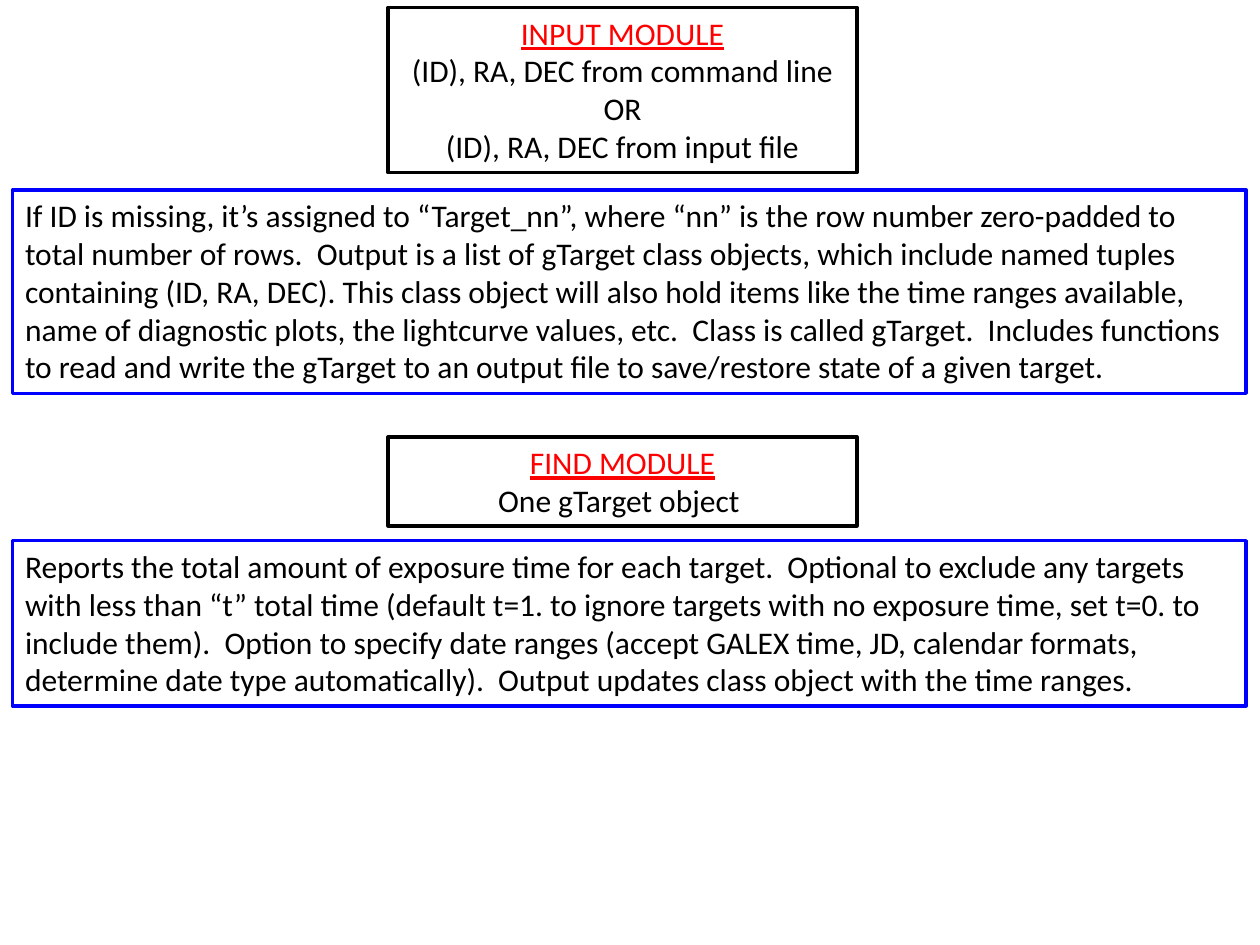
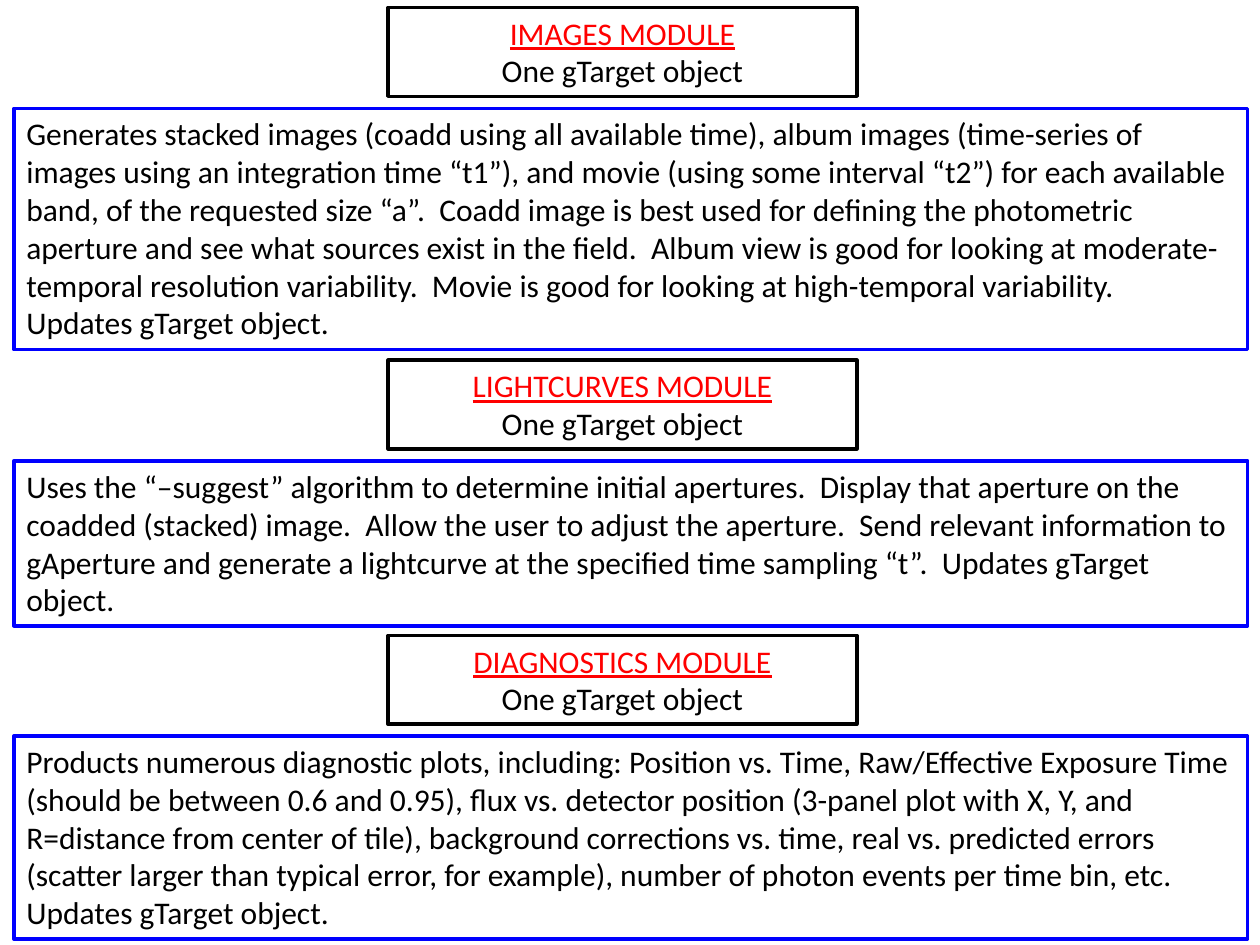
"""Build two slides that describe the processing modules of a target pipeline."""
from pptx import Presentation
from pptx.dml.color import RGBColor
from pptx.enum.text import MSO_ANCHOR, MSO_AUTO_SIZE, PP_ALIGN
from pptx.util import Pt

BLACK = RGBColor(0, 0, 0)
RED = RGBColor(255, 0, 0)
BLUE = RGBColor(0, 0, 255)
FONT = "Calibri"
FONT_SIZE = 18
LINE_HEIGHT = 21.8
INSET_X, INSET_Y = 7.2, 3.6
HEADER_LEFT, HEADER_WIDTH = 221.8, 267.8
DETAIL_WIDTH = 704.9

SLIDES = [
    {
        "detail_left": 7.2,
        "modules": [
            {
                "title": "INPUT MODULE",
                "inputs": ["(ID), RA, DEC from command line", "OR",
                           "(ID), RA, DEC from input file"],
                "header_top": 4.3,
                "detail": "If ID is missing, it’s assigned to “Target_nn”, where “nn” is the row "
                          "number zero-padded to total number of rows.  Output is a list of gTarget "
                          "class objects, which include named tuples containing (ID, RA, DEC). This "
                          "class object will also hold items like the time ranges available, name of "
                          "diagnostic plots, the lightcurve values, etc.  Class is called gTarget.  "
                          "Includes functions to read and write the gTarget to an output file to "
                          "save/restore state of a given target.",
                "detail_top": 108.6,
                "detail_lines": 5,
            },
            {
                "title": "FIND MODULE",
                "inputs": ["One gTarget object "],
                "header_top": 249.7,
                "detail": "Reports the total amount of exposure time for each target.  Optional to "
                          "exclude any targets with less than “t” total time (default t=1. to ignore "
                          "targets with no exposure time, set t=0. to include them).  Option to "
                          "specify date ranges (accept GALEX time, JD, calendar formats, determine "
                          "date type automatically).  Output updates class object with the time "
                          "ranges.",
                "detail_top": 309,
                "detail_lines": 4,
            },
        ],
    },
    {
        "detail_left": 8,
        "modules": [
            {
                "title": "IMAGES MODULE",
                "inputs": ["One gTarget object"],
                "header_top": 4.3,
                "detail": "Generates stacked images (coadd using all available time), album images "
                          "(time-series of images using an integration time “t1”), and movie (using "
                          "some interval “t2”) for each available band, of the requested size “a”.  "
                          "Coadd image is best used for defining the photometric aperture and see "
                          "what sources exist in the field.  Album view is good for looking at "
                          "moderate-temporal resolution variability.  Movie is good for looking at "
                          "high-temporal variability.  Updates gTarget object.",
                "detail_top": 61.9,
                "detail_lines": 6,
            },
            {
                "title": "LIGHTCURVES MODULE",
                "inputs": ["One gTarget object"],
                "header_top": 205.8,
                "detail": "Uses the “–suggest” algorithm to determine initial apertures.  Display "
                          "that aperture on the coadded (stacked) image.  Allow the user to adjust "
                          "the aperture.  Send relevant information to gAperture and generate a "
                          "lightcurve at the specified time sampling “t”.  Updates gTarget object.",
                "detail_top": 263.3,
                "detail_lines": 4,
            },
            {
                "title": "DIAGNOSTICS MODULE",
                "inputs": ["One gTarget object"],
                "header_top": 363.1,
                "detail": "Products numerous diagnostic plots, including: Position vs. Time, "
                          "Raw/Effective Exposure Time (should be between 0.6 and 0.95), flux vs. "
                          "detector position (3-panel plot with X, Y, and R=distance from center of "
                          "tile), background corrections vs. time, real vs. predicted errors "
                          "(scatter larger than typical error, for example), number of photon events "
                          "per time bin, etc.  Updates gTarget object.",
                "detail_top": 420.5,
                "detail_lines": 5,
            },
        ],
    },
]


def write_text(paragraph, text, *, color=BLACK, underline=None, align=PP_ALIGN.LEFT):
    paragraph.alignment = align
    run = paragraph.add_run()
    run.text = text
    run.font.name = FONT
    run.font.size = Pt(FONT_SIZE)
    run.font.color.rgb = color
    run.font.underline = underline


def add_frame(slide, left, top, width, line_count, border):
    height = line_count * LINE_HEIGHT + 2 * INSET_Y
    frame = slide.shapes.add_textbox(Pt(left), Pt(top), Pt(width), Pt(height))
    frame.line.color.rgb = border
    frame.line.width = Pt(2)
    body = frame.text_frame
    body.word_wrap = True
    body.auto_size = MSO_AUTO_SIZE.SHAPE_TO_FIT_TEXT
    body.vertical_anchor = MSO_ANCHOR.TOP
    body.margin_left = body.margin_right = Pt(INSET_X)
    body.margin_top = body.margin_bottom = Pt(INSET_Y)
    return body


def add_module(slide, module, detail_left):
    inputs = module["inputs"]
    header = add_frame(slide, HEADER_LEFT, module["header_top"], HEADER_WIDTH,
                       1 + len(inputs), BLACK)
    write_text(header.paragraphs[0], module["title"], color=RED, underline=True,
               align=PP_ALIGN.CENTER)
    for source in inputs:
        write_text(header.add_paragraph(), source, align=PP_ALIGN.CENTER)
    detail = add_frame(slide, detail_left, module["detail_top"], DETAIL_WIDTH,
                       module["detail_lines"], BLUE)
    write_text(detail.paragraphs[0], module["detail"])


deck = Presentation()
deck.slide_width, deck.slide_height = Pt(720), Pt(540)
for content in SLIDES:
    page = deck.slides.add_slide(deck.slide_layouts[6])
    for module in content["modules"]:
        add_module(page, module, content["detail_left"])
deck.save("out.pptx")
